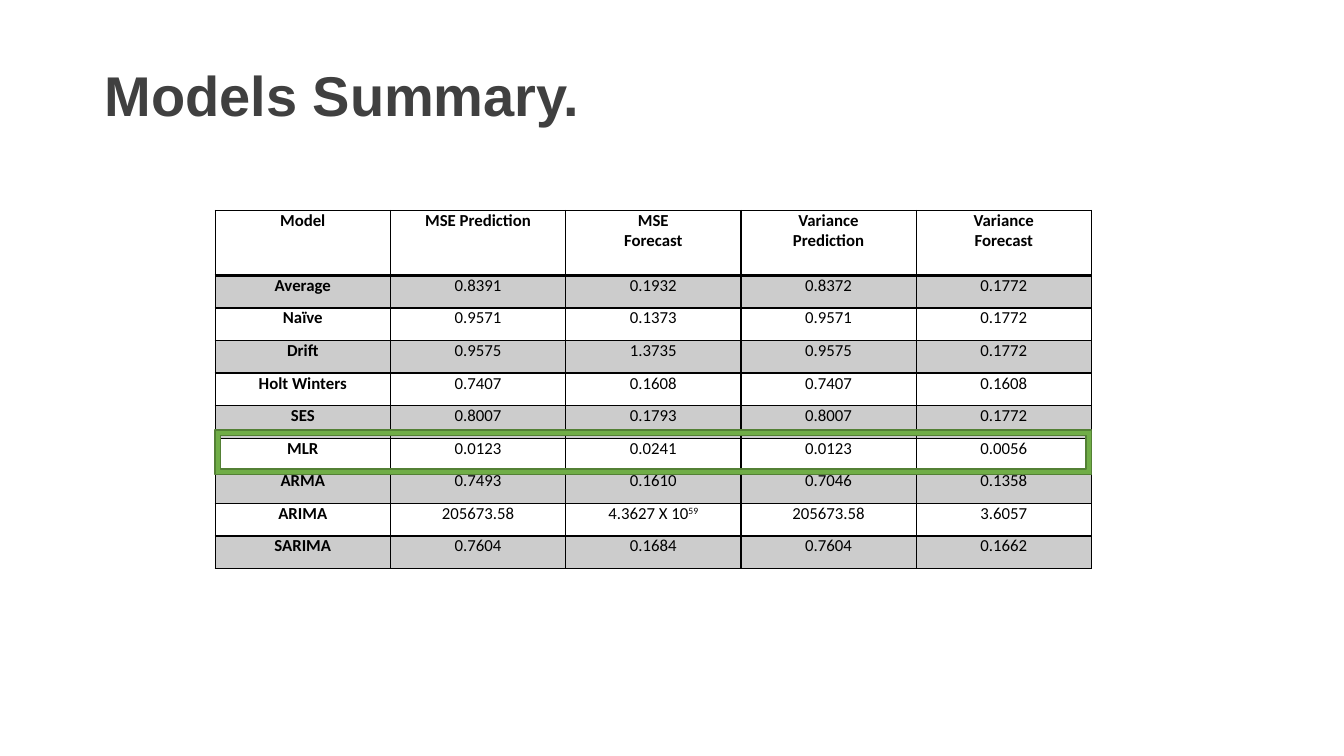
from lxml.etree import SubElement
from pptx import Presentation
from pptx.dml.color import RGBColor
from pptx.enum.shapes import MSO_SHAPE
from pptx.enum.text import MSO_ANCHOR, MSO_AUTO_SIZE, PP_ALIGN
from pptx.oxml.ns import qn
from pptx.util import Pt

BLACK = RGBColor(0x00, 0x00, 0x00)
TITLE_GRAY = RGBColor(0x40, 0x40, 0x40)
GREEN = RGBColor(0x70, 0xAD, 0x47)
DARK_GREEN = RGBColor(0x53, 0x80, 0x35)

HEADER_HEIGHT = 46.4
ROW_HEIGHT = 23.3
BEST_MODEL = "MLR"
ROWS = [
    ("Model", "MSE Prediction", "MSE\nForecast", "Variance\nPrediction", "Variance\nForecast"),
    ("Average", "0.8391", "0.1932", "0.8372", "0.1772"),
    ("Naïve", "0.9571", "0.1373", "0.9571", "0.1772"),
    ("Drift", "0.9575", "1.3735", "0.9575", "0.1772"),
    ("Holt Winters", "0.7407", "0.1608", "0.7407", "0.1608"),
    ("SES", "0.8007", "0.1793", "0.8007", "0.1772"),
    ("MLR", "0.0123", "0.0241", "0.0123", "0.0056"),
    ("ARMA", "0.7493", "0.1610", "0.7046", "0.1358"),
    ("ARIMA", "205673.58", "4.3627 X 10^59", "205673.58", "3.6057"),
    ("SARIMA", "0.7604", "0.1684", "0.7604", "0.1662"),
]


def fill_title(slide, left, top, width, height):
    """Place and format the slide title in the given box."""
    title = slide.shapes.title
    title.left, title.top, title.width, title.height = map(Pt, (left, top, width, height))
    frame = title.text_frame
    frame.text = "Models Summary."
    frame.auto_size = MSO_AUTO_SIZE.NONE
    frame.vertical_anchor = MSO_ANCHOR.MIDDLE
    paragraph = frame.paragraphs[0]
    paragraph.alignment = PP_ALIGN.LEFT
    paragraph.line_spacing = 0.9
    paragraph.font.name = "Arial"
    paragraph.font.size = Pt(40)
    paragraph.font.bold = True
    paragraph.font.color.rgb = TITLE_GRAY


def add_borders(cell, top_width, bottom_width):
    """Draw black borders on all four sides of a cell."""
    properties = cell._tc.get_or_add_tcPr()
    for side, width in (("L", 1), ("R", 1), ("T", top_width), ("B", bottom_width)):
        line = SubElement(properties, qn(f"a:ln{side}"), w=str(Pt(width)))
        solid = SubElement(line, qn("a:solidFill"))
        SubElement(solid, qn("a:srgbClr"), val=str(BLACK))


def shade_cell(cell, shaded):
    """Fill a cell with 20% black, or leave it clear."""
    if not shaded:
        cell.fill.background()
        return
    cell.fill.solid()
    cell.fill.fore_color.rgb = BLACK
    color = cell._tc.tcPr.find(qn("a:solidFill")).find(qn("a:srgbClr"))
    SubElement(color, qn("a:alpha"), val="20000")


def write_cell(cell, text, bold):
    """Write centred cell text, raising what follows a caret."""
    cell.margin_left = cell.margin_right = Pt(5)
    cell.margin_top = cell.margin_bottom = 0
    base, _, exponent = text.partition("^")
    cell.text = base
    paragraphs = cell.text_frame.paragraphs
    if exponent:
        run = paragraphs[-1].add_run()
        run.text = exponent
        run._r.get_or_add_rPr().set("baseline", "30000")
    for paragraph in paragraphs:
        paragraph.alignment = PP_ALIGN.CENTER
        paragraph.font.name = "Calibri"
        paragraph.font.size = Pt(12)
        paragraph.font.bold = bold
        paragraph.font.color.rgb = BLACK


def add_model_table(slide, left, top, width):
    """Add the table of model errors and variances."""
    height = HEADER_HEIGHT + ROW_HEIGHT * (len(ROWS) - 1)
    column_count = len(ROWS[0])
    table = slide.shapes.add_table(
        len(ROWS), column_count, Pt(left), Pt(top), Pt(width), Pt(height)).table
    table.first_row = table.horz_banding = False
    for column in table.columns:
        column.width = Pt(width / column_count)
    for row_index, values in enumerate(ROWS):
        table.rows[row_index].height = Pt(ROW_HEIGHT if row_index else HEADER_HEIGHT)
        for column_index, text in enumerate(values):
            cell = table.cell(row_index, column_index)
            write_cell(cell, text, row_index == 0 or column_index == 0)
            add_borders(cell, 2 if row_index == 1 else 1, 2 if row_index == 0 else 1)
            shade_cell(cell, row_index % 2 == 1)


def add_highlight(slide, left, top, width):
    """Frame the best model's row, raised to clear the text of the next row."""
    row_index = [values[0] for values in ROWS].index(BEST_MODEL)
    thickness = 31.6
    rise = 1.8
    center_x = left + width / 2
    center_y = top + HEADER_HEIGHT + ROW_HEIGHT * (row_index - 0.5) - rise
    highlight = slide.shapes.add_shape(
        MSO_SHAPE.FRAME, Pt(center_x - thickness / 2), Pt(center_y - width / 2),
        Pt(thickness), Pt(width))
    highlight.rotation = 90
    highlight.shadow.inherit = False
    highlight.fill.solid()
    highlight.fill.fore_color.rgb = GREEN
    highlight.line.color.rgb = DARK_GREEN
    highlight.line.width = Pt(1)


def main():
    """Build and save the models summary slide."""
    presentation = Presentation()
    presentation.slide_width, presentation.slide_height = Pt(960), Pt(540)
    slide = presentation.slides.add_slide(presentation.slide_layouts[5])
    fill_title(slide, 67.5, 31.7, 825, 77)
    add_model_table(slide, 153.7, 150.3, 626)
    add_highlight(slide, 153.7, 150.3, 626)
    presentation.save("out.pptx")


if __name__ == "__main__":
    main()
